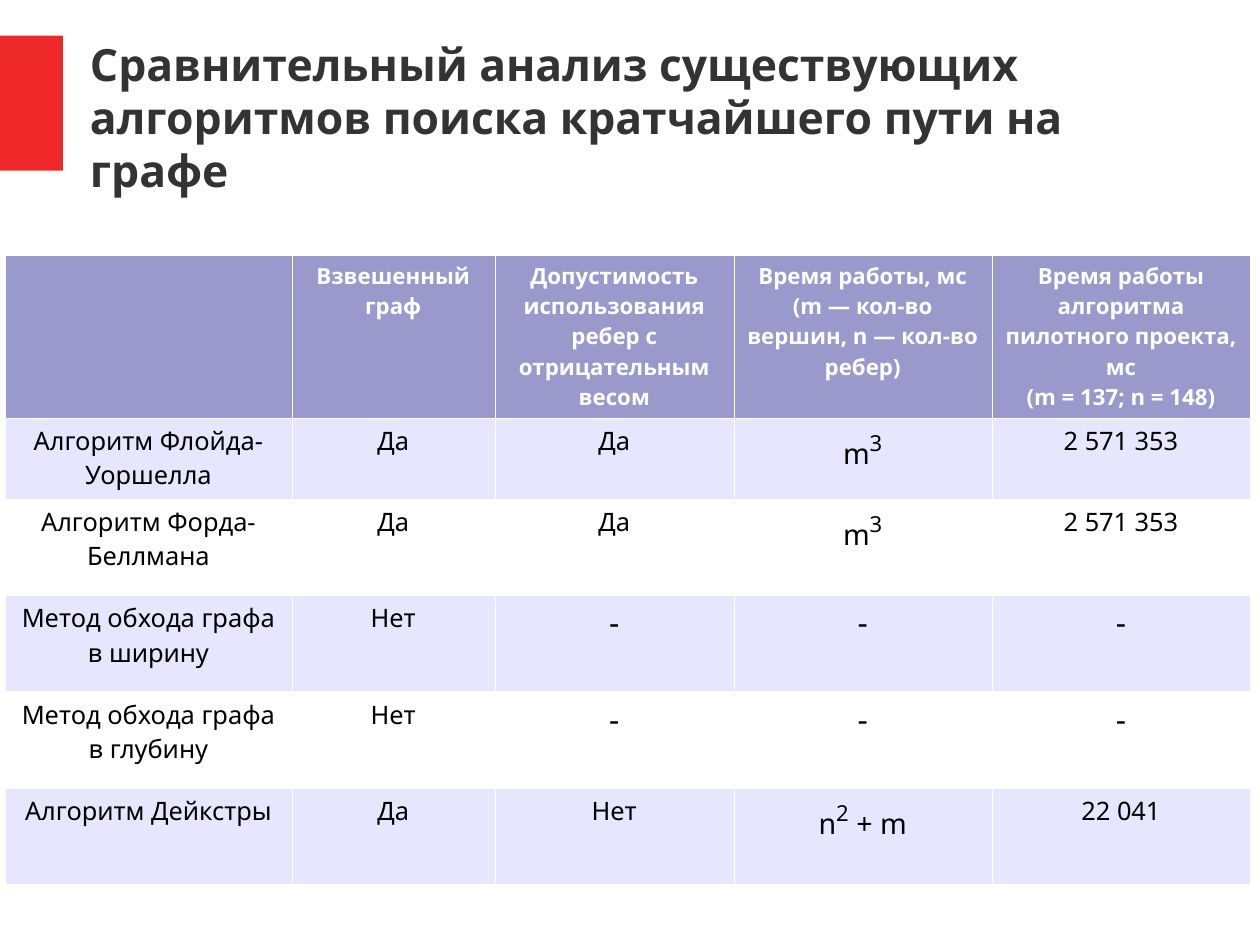
import pptx
import pptx.dml.color
import pptx.enum.shapes
import pptx.enum.text
import pptx.util
from lxml import etree

Pt = pptx.util.Pt
ALIGN = pptx.enum.text.PP_ALIGN


def color(value):
    return pptx.dml.color.RGBColor.from_string(value)


def write(p, text, size, fill="000000", bold=False, align=ALIGN.CENTER):
    p.alignment = align
    for i, part in enumerate(text.split("^")):
        if not part:
            continue
        r = p.add_run()
        r.text = part
        r.font.name = "Noto Sans"
        r.font.size = Pt(size)
        r.font.bold = bold
        r.font.color.rgb = color(fill)
        if i % 2:
            r.font.size = Pt(24)
            r.font._element.set("baseline", "33000")


prs = pptx.Presentation()
prs.slide_width = Pt(793.75)
prs.slide_height = Pt(595.25)
s = prs.slides.add_slide(prs.slide_layouts[5])

sp = s.shapes.add_shape(pptx.enum.shapes.MSO_SHAPE.RECTANGLE, 0, Pt(22.5), Pt(39.7), Pt(85))
sp.shadow.inherit = False
sp.fill.solid()
sp.fill.fore_color.rgb = color("EF2929")
sp.line.fill.background()

title = s.shapes.title
title.left, title.top, title.width, title.height = Pt(56.7), Pt(8), Pt(623.5), Pt(131)
tf = title.text_frame
tf.word_wrap = True
tf.auto_size = pptx.enum.text.MSO_AUTO_SIZE.NONE
tf.vertical_anchor = pptx.enum.text.MSO_ANCHOR.MIDDLE
tf.margin_left = tf.margin_top = tf.margin_right = tf.margin_bottom = 0
write(tf.paragraphs[0], "Сравнительный анализ существующих алгоритмов поиска кратчайшего пути на графе",
      28, fill="333333", bold=True, align=ALIGN.LEFT)

rows = [
    ["", "Взвешенный граф", "Допустимость использования ребер с отрицательным весом",
     "Время работы, мс\n(m — кол-во вершин, n — кол-во ребер)",
     "Время работы алгоритма пилотного проекта, мс\n(m = 137; n = 148)"],
    ["Алгоритм Флойда-Уоршелла", "Да", "Да", "m^3", "2 571 353"],
    ["Алгоритм Форда-Беллмана", "Да", "Да", "m^3", "2 571 353"],
    ["Метод обхода графа в ширину", "Нет", "-", "-", "-"],
    ["Метод обхода графа в глубину", "Нет", "-", "-", "-"],
    ["Алгоритм Дейкстры", "Да", "Нет", "n^2^ + m", "22 041"],
]
widths = [180.5, 128, 150.5, 162.5, 163]
heights = [102, 51] + [60.7] * 4

table = s.shapes.add_table(len(rows), len(widths), Pt(3.25), Pt(160.5),
                           Pt(sum(widths)), Pt(sum(heights))).table
for column, width in zip(table.columns, widths):
    column.width = Pt(width)

ns = "http://schemas.openxmlformats.org/drawingml/2006/main"
for i, texts in enumerate(rows):
    table.rows[i].height = Pt(heights[i])
    for j, text in enumerate(texts):
        cell = table.cell(i, j)
        tcPr = cell._tc.get_or_add_tcPr()
        for side in ("lnL", "lnR", "lnT", "lnB"):
            ln = etree.SubElement(tcPr, f"{{{ns}}}{side}", w=str(Pt(0.06)))
            fill = etree.SubElement(ln, f"{{{ns}}}solidFill")
            etree.SubElement(fill, f"{{{ns}}}srgbClr", val="FFFFFF")
        cell.fill.solid()
        cell.fill.fore_color.rgb = color("9999CC" if i == 0 else "E6E6FF" if i % 2 else "FFFFFF")
        size = 14 if i == 0 else 20 if text == "-" else 18 if "^" in text else 16
        tf = cell.text_frame
        for k, line in enumerate(text.split("\n")):
            p = tf.add_paragraph() if k else tf.paragraphs[0]
            write(p, line, size, fill="000000" if i else "FFFFFF", bold=i == 0)

prs.save("out.pptx")
